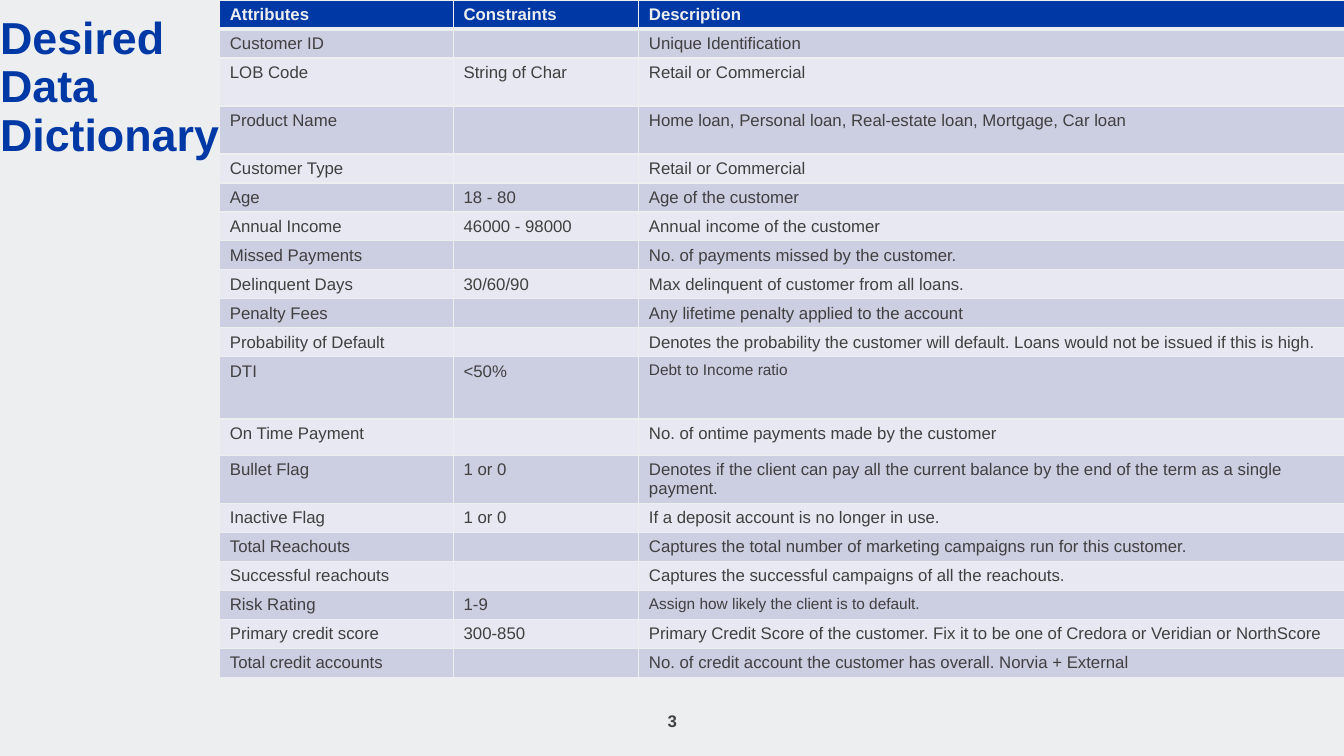
from lxml import etree
from pptx import Presentation
from pptx.dml.color import RGBColor
from pptx.enum.text import MSO_ANCHOR, PP_ALIGN
from pptx.oxml.ns import qn
from pptx.util import Cm, Pt

COLORS = {
    "background": "EDEEEF",
    "blue": "0039A6",
    "text": "404041",
    "dark_band": "CCCEE1",
    "light_band": "E7E8F1",
}
FONT = "Arial"
COLUMN_WIDTHS = (5.89, 4.67, 17.78)
ROW_HEIGHT = 0.73
TALL_ROWS = {"LOB Code": 1.21, "Product Name": 1.21, "DTI": 1.57,
             "On Time Payment": 0.92, "Bullet Flag": 1.21}
SMALL_DESCRIPTIONS = ("DTI", "Risk Rating")
HEADER = ("Attributes", "Constraints", "Description")
ATTRIBUTES = [
    ("Customer ID", "", "Unique Identification"),
    ("LOB Code", "String of Char", "Retail or Commercial"),
    ("Product Name", "", "Home loan, Personal loan, Real-estate loan, Mortgage, Car loan"),
    ("Customer Type", "", "Retail or Commercial"),
    ("Age", "18 - 80", "Age of the customer"),
    ("Annual Income", "46000 - 98000", "Annual income of the customer"),
    ("Missed Payments", "", "No. of payments missed by the customer."),
    ("Delinquent Days", "30/60/90", "Max delinquent of customer from all loans."),
    ("Penalty Fees", "", "Any lifetime penalty applied to the account"),
    ("Probability of Default", "", "Denotes the probability the customer will default. "
     "Loans would not be issued if this is high."),
    ("DTI", "<50%", "Debt to Income ratio"),
    ("On Time Payment", "", "No. of ontime payments made by the customer"),
    ("Bullet Flag", "1 or 0", "Denotes if the client can pay all the current balance "
     "by the end of the term as a single payment."),
    ("Inactive Flag", "1 or 0", "If a deposit account is no longer in use."),
    ("Total Reachouts", "", "Captures the total number of marketing campaigns run "
     "for this customer."),
    ("Successful reachouts", "", "Captures the successful campaigns of all the reachouts."),
    ("Risk Rating", "1-9", "Assign how likely the client is to default."),
    ("Primary credit score", "300-850", "Primary Credit Score of the customer. "
     "Fix it to be one of Credora or Veridian or NorthScore"),
    ("Total credit accounts", "", "No. of credit account the customer has overall. "
     "Norvia + External"),
]


def rgb(name):
    return RGBColor.from_string(COLORS[name])


def set_font(p, size, color, bold=False):
    p.font.name = FONT
    p.font.size = Pt(size)
    p.font.bold = bold
    p.font.color.rgb = rgb(color)


def set_borders(cell, top, bottom):
    """Draw the four cell edges; top and bottom are widths in points."""
    tcPr = cell._tc.get_or_add_tcPr()
    for tag, width in (("a:lnL", 1), ("a:lnR", 1), ("a:lnT", top), ("a:lnB", bottom)):
        ln = etree.SubElement(tcPr, qn(tag), w=str(Pt(width)))
        fill = etree.SubElement(ln, qn("a:solidFill"))
        etree.SubElement(fill, qn("a:srgbClr"), val=COLORS["background"])


def format_cell(cell, text, size, color, fill, bold):
    p = cell.text_frame.paragraphs[0]
    if text:
        p.text = text
    else:
        # An empty cell takes its line height from the end-of-paragraph size
        etree.SubElement(p._p, qn("a:endParaRPr"), sz=str(size * 100))
    set_font(p, size, color, bold)
    cell.fill.solid()
    cell.fill.fore_color.rgb = rgb(fill)


def add_title(slide, left, top, width, height):
    sp = slide.shapes.title
    sp.left, sp.top, sp.width, sp.height = left, top, width, height
    tf = sp.text_frame
    tf.margin_left = tf.margin_right = tf.margin_top = tf.margin_bottom = 0
    tf.vertical_anchor = MSO_ANCHOR.BOTTOM
    tf.word_wrap = True
    tf.text = "Desired\vData\vDictionary"
    p = tf.paragraphs[0]
    p.alignment = PP_ALIGN.LEFT
    p.line_spacing = 0.9
    set_font(p, 32, "blue", bold=True)


def add_dictionary_table(slide, left, top):
    rows = [HEADER] + ATTRIBUTES
    heights = [TALL_ROWS.get(row[0], ROW_HEIGHT) for row in rows]
    table = slide.shapes.add_table(len(rows), len(HEADER), left, top,
                                   Cm(sum(COLUMN_WIDTHS)), Cm(sum(heights))).table
    table.horz_banding = False
    for column, width in zip(table.columns, COLUMN_WIDTHS):
        column.width = Cm(width)
    for i, (values, height) in enumerate(zip(rows, heights)):
        table.rows[i].height = Cm(height)
        is_header = i == 0
        band = "blue" if is_header else "dark_band" if i % 2 else "light_band"
        for j, text in enumerate(values):
            cell = table.cell(i, j)
            small = j == 2 and values[0] in SMALL_DESCRIPTIONS
            set_borders(cell, top=3 if i == 1 else 1, bottom=3 if is_header else 1)
            format_cell(cell, text, 11 if small else 12,
                        "background" if is_header else "text", band, is_header)


def add_page_number(slide, left, top, width, height):
    tf = slide.shapes.add_textbox(left, top, width, height).text_frame
    tf.word_wrap = True
    tf.vertical_anchor = MSO_ANCHOR.MIDDLE
    p = tf.paragraphs[0]
    p.text = "3"
    p.alignment = PP_ALIGN.CENTER
    set_font(p, 12, "text", bold=True)


def main():
    prs = Presentation()
    prs.slide_width, prs.slide_height = Cm(33.87), Cm(19.05)
    slide = prs.slides.add_slide(prs.slide_layouts[5])
    slide.background.fill.solid()
    slide.background.fill.fore_color.rgb = rgb("background")
    add_title(slide, Cm(0), Cm(0.38), Cm(31.75), Cm(3.68))
    add_dictionary_table(slide, Cm(5.54), Cm(0))
    add_page_number(slide, Cm(13.13), Cm(17.65), Cm(7.62), Cm(1.02))
    prs.save("out.pptx")


if __name__ == "__main__":
    main()
